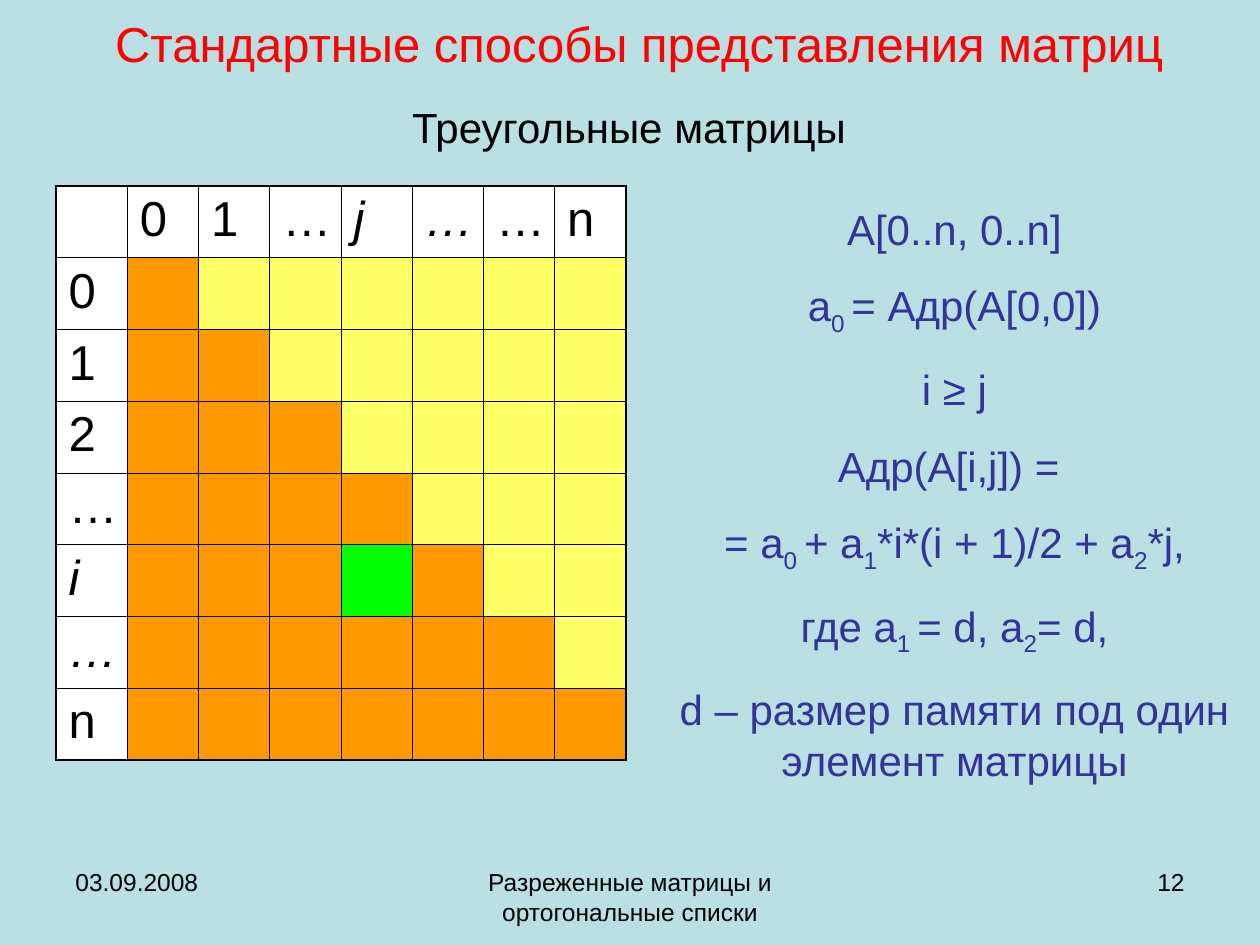
from dataclasses import dataclass

from lxml.etree import SubElement
from pptx import Presentation
from pptx.dml.color import RGBColor
from pptx.enum.text import MSO_ANCHOR, PP_ALIGN
from pptx.oxml.ns import qn
from pptx.util import Emu, Pt

LABELS_TOP = ["", "0", "1", "…", "j", "…", "…", "n"]
LABELS_LEFT = ["", "0", "1", "2", "…", "i", "…", "n"]
ITALIC_TOP, ITALIC_LEFT = {4, 5}, {5, 6}
MARKED = (5, 4)
FORMULAS = [
    "A[0..n, 0..n]",
    "a|0 |= Адр(A[0,0])",
    "i ≥ j",
    "Адр(A[i,j]) = ",
    "= a|0 |+ a|1|*i*(i + 1)/2 + a|2|*j,",
    "где a|1 |= d, a|2|= d,",
    "d – размер памяти под один элемент матрицы",
]


@dataclass(frozen=True)
class Theme:
    """Colours, type sizes and line widths of the slide."""
    font: str = "Arial"
    back: str = "BBE0E3"
    title: str = "FF0000"
    text: str = "000000"
    formula: str = "333399"
    header: str = "FFFFFF"
    stored: str = "FF9900"
    empty: str = "FFFF66"
    marked: str = "00FF00"
    large: int = 28
    medium: int = 24
    small: int = 14
    gap: int = 15
    thin: float = 0.45
    thick: float = 1.08


THEME = Theme()


def px(n):
    """Turn pixels into EMU."""
    return Emu(round(n * 914400 / 126))


def style(p, size, color, align=PP_ALIGN.LEFT, italic=False):
    """Set the alignment and font of a paragraph."""
    p.alignment = align
    p.font.name = THEME.font
    p.font.size = Pt(size)
    p.font.italic = italic
    p.font.color.rgb = RGBColor.from_string(color)


def add_text(slide, box, lines, size, color, align=PP_ALIGN.CENTER):
    """Add a text box; odd parts between bars in a line are subscripts."""
    tf = slide.shapes.add_textbox(*map(px, box)).text_frame
    tf.word_wrap = True
    for i, line in enumerate(lines):
        p = tf.add_paragraph() if i else tf.paragraphs[0]
        if i:
            p.space_before = Pt(THEME.gap)
        style(p, size, color, align)
        for k, part in enumerate(line.split("|")):
            r = p.add_run()
            r.text = part
            if k % 2:
                r._r.get_or_add_rPr().set("baseline", "-25000")
    return tf


def add_title(slide, box):
    """Add the slide title, centred vertically in its box."""
    tf = add_text(slide, box, ["Стандартные способы представления матриц"],
                  THEME.large, THEME.title)
    tf.vertical_anchor = MSO_ANCHOR.MIDDLE
    tf.margin_left, tf.margin_right = px(3), px(5)
    tf.margin_top = tf.margin_bottom = px(1)


def set_borders(cell, row, col, last):
    """Draw thin cell borders, thick along the outside of the table."""
    tcPr = cell._tc.get_or_add_tcPr()
    edges = {"L": col == 0, "R": col == last, "T": row == 0, "B": row == last}
    for side, outer in edges.items():
        width = Pt(THEME.thick if outer else THEME.thin)
        ln = SubElement(tcPr, qn(f"a:ln{side}"), w=str(int(width)))
        fill = SubElement(ln, qn("a:solidFill"))
        SubElement(fill, qn("a:srgbClr"), val=THEME.text)


def cell_color(row, col):
    """Return the fill of a cell from its place in the triangle."""
    if row == 0 or col == 0:
        return THEME.header
    if (row, col) == MARKED:
        return THEME.marked
    return THEME.stored if row >= col else THEME.empty


def add_matrix(slide, box):
    """Add the lower triangular matrix with its row and column labels."""
    n = len(LABELS_TOP)
    table = slide.shapes.add_table(n, n, *map(px, box)).table
    table.first_row = table.horz_banding = False
    for i in range(n):
        table.columns[i].width = px(box[2] / n)
        table.rows[i].height = px(box[3] / n)
    for row in range(n):
        for col in range(n):
            cell = table.cell(row, col)
            set_borders(cell, row, col, n - 1)
            cell.fill.solid()
            cell.fill.fore_color.rgb = RGBColor.from_string(cell_color(row, col))
            if row == 0:
                label, italic = LABELS_TOP[col], col in ITALIC_TOP
            elif col == 0:
                label, italic = LABELS_LEFT[row], row in ITALIC_LEFT
            else:
                continue
            cell.text = label
            style(cell.text_frame.paragraphs[0], THEME.large, THEME.text,
                  italic=italic)


def add_footer(slide, box):
    """Add the date, footer text and slide number along the bottom."""
    x, y, w, h = box
    side, middle = 294, 399
    parts = [
        (x, side, "03.09.2008", PP_ALIGN.LEFT),
        (x + (w - middle) / 2, middle,
         "Разреженные матрицы и ортогональные списки", PP_ALIGN.CENTER),
        (x + w - side, side, "12", PP_ALIGN.RIGHT),
    ]
    for left, width, text, align in parts:
        add_text(slide, (left, y, width, h), [text], THEME.small, THEME.text, align)


def main():
    """Build and save the slide."""
    prs = Presentation()
    prs.slide_width, prs.slide_height = px(1260), px(945)
    slide = prs.slides.add_slide(prs.slide_layouts[6])
    slide.background.fill.solid()
    slide.background.fill.fore_color.rgb = RGBColor.from_string(THEME.back)
    add_title(slide, (73, 22, 1134, 42))
    add_matrix(slide, (56, 186, 570, 574))
    add_text(slide, (649, 197, 611, 747), FORMULAS, THEME.medium, THEME.formula)
    add_text(slide, (161, 95, 936, 63), ["Треугольные матрицы"],
             THEME.medium, THEME.text)
    add_footer(slide, (63, 861, 1134, 66))
    prs.save("out.pptx")


if __name__ == "__main__":
    main()
